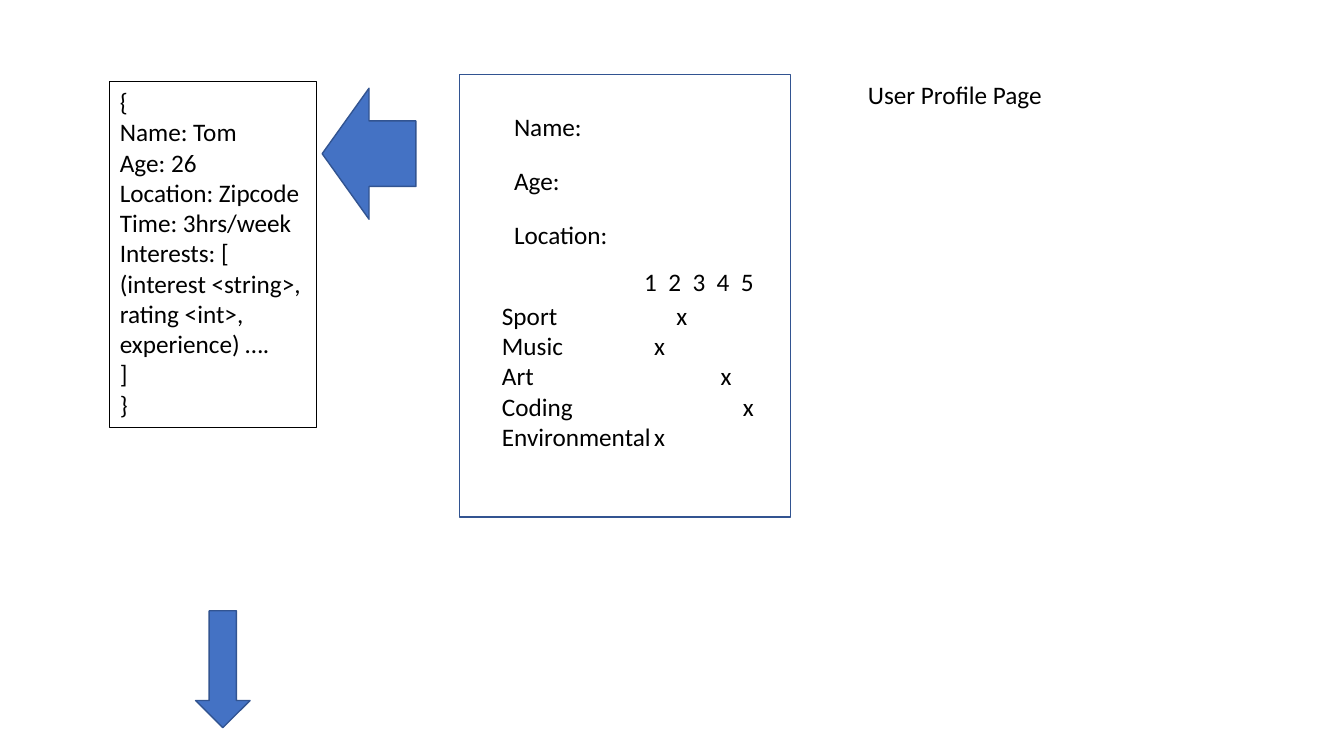
from dataclasses import dataclass

from lxml.etree import SubElement
from pptx import Presentation
from pptx.dml.color import RGBColor
from pptx.enum.shapes import MSO_SHAPE as Preset
from pptx.oxml.ns import qn
from pptx.util import Inches, Pt

BLACK = RGBColor(0x00, 0x00, 0x00)
WHITE = RGBColor(0xFF, 0xFF, 0xFF)
BLUE = RGBColor(0x44, 0x72, 0xC4)
DARK_BLUE = RGBColor(0x32, 0x54, 0x91)

FIRST_MARK, MARK_STEP = 1.51, 0.22
SCALE_STEP = 0.24


@dataclass
class Box:
    """Position and size in inches."""
    left: float
    top: float
    width: float
    height: float

    def lengths(self) -> list:
        """Return the four values as lengths."""
        return [Inches(value) for value in (self.left, self.top, self.width, self.height)]


@dataclass
class Line:
    """One paragraph and its tab stops in inches."""
    text: str
    tabs: tuple = ()


@dataclass
class Interest:
    """An interest and the column of its mark, counted from 1."""
    name: str
    column: int

    def line(self) -> Line:
        """Return the interest as a line with its mark at a tab stop."""
        return Line(f"{self.name}\tx", (FIRST_MARK + MARK_STEP * (self.column - 1),))


def add_tab_stops(paragraph, positions: tuple) -> None:
    """Give a paragraph left tab stops."""
    properties = paragraph._p.get_or_add_pPr()
    tab_list = SubElement(properties, qn("a:tabLst"))
    for position in positions:
        SubElement(tab_list, qn("a:tab"), pos=str(Inches(position)), algn="l")


def add_text(slide, box: Box, lines: list[Line]):
    """Add a wrapping text box with one paragraph per line."""
    shape = slide.shapes.add_textbox(*box.lengths())
    frame = shape.text_frame
    frame.word_wrap = True
    frame.text = "\n".join(line.text for line in lines)
    for paragraph, line in zip(frame.paragraphs, lines):
        if line.tabs:
            add_tab_stops(paragraph, line.tabs)
        paragraph.font.name = "Calibri"
        paragraph.font.size = Pt(18)
        paragraph.font.color.rgb = BLACK
    return shape


def add_preset(slide, preset: Preset, box: Box, fill: RGBColor, rotation: float = 0) -> None:
    """Add a filled shape with a dark blue outline."""
    shape = slide.shapes.add_shape(preset, *box.lengths())
    shape.shadow.inherit = False
    shape.rotation = rotation
    shape.fill.solid()
    shape.fill.fore_color.rgb = fill
    shape.line.color.rgb = DARK_BLUE
    shape.line.width = Pt(1)


PROFILE_DATA = [
    "{", "Name: Tom", "Age: 26", "Location: Zipcode", "Time: 3hrs/week", "Interests: [",
    "(interest <string>, rating <int>, experience) ….", "]", "}",
]
FIELDS = {"Name:": 1.06, "Age:": 1.59, "Location:": 2.13}
INTERESTS = [
    Interest("Sport", 2), Interest("Music", 1), Interest("Art", 4),
    Interest("Coding", 5), Interest("Environmental", 1),
]

presentation = Presentation()
presentation.slide_width = Inches(13.33)
presentation.slide_height = Inches(7.5)
slide = presentation.slides.add_slide(presentation.slide_layouts[6])

data_box = add_text(slide, Box(1.09, 0.81, 2.05, 3.43), [Line(text) for text in PROFILE_DATA])
data_box.line.color.rgb = BLACK
data_box.line.width = Pt(0.75)

add_preset(slide, Preset.RECTANGLE, Box(4.56, 0.74, 3.28, 4.39), WHITE)
for label, top in FIELDS.items():
    add_text(slide, Box(5, top, 1.2, 0.4), [Line(label)])
scale = Line("1\t2\t3\t4\t5", tuple(SCALE_STEP * step for step in range(1, 5)))
add_text(slide, Box(6.29, 2.59, 1.48, 0.4), [scale])
add_text(slide, Box(4.88, 2.93, 2.88, 1.62), [interest.line() for interest in INTERESTS])
add_text(slide, Box(8.51, 0.74, 1.96, 0.4), [Line("User Profile Page")])

add_preset(slide, Preset.DOWN_ARROW, Box(3.01, 1.06, 1.3, 0.93), BLUE, rotation=90)
add_preset(slide, Preset.DOWN_ARROW, Box(1.94, 6.06, 0.54, 1.16), BLUE)

presentation.save("out.pptx")
